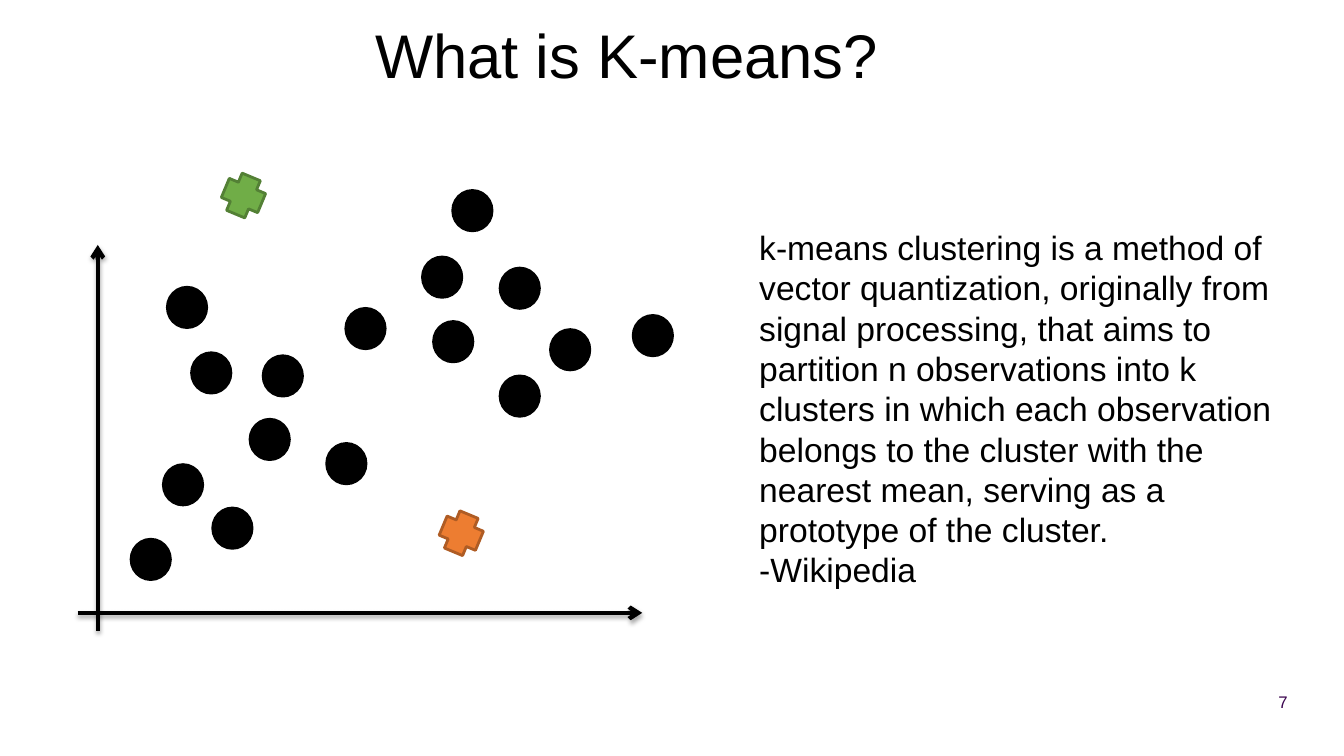
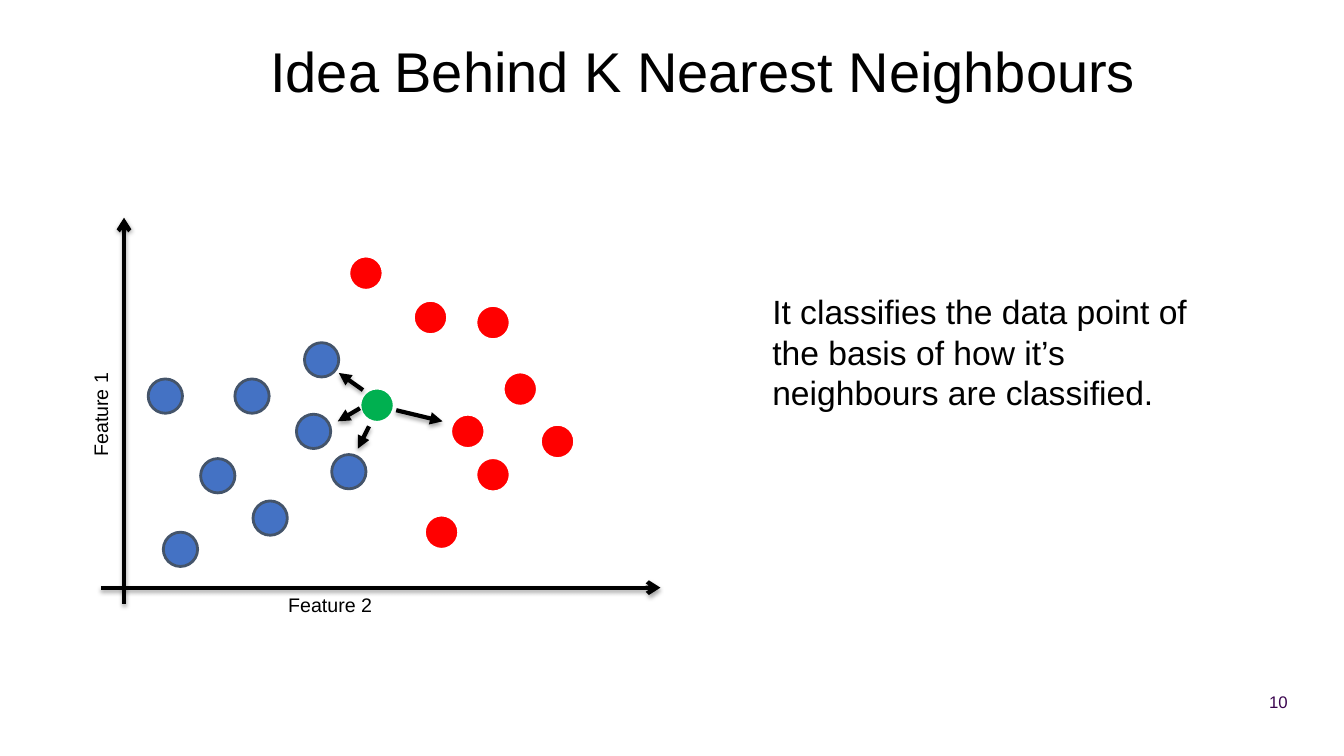
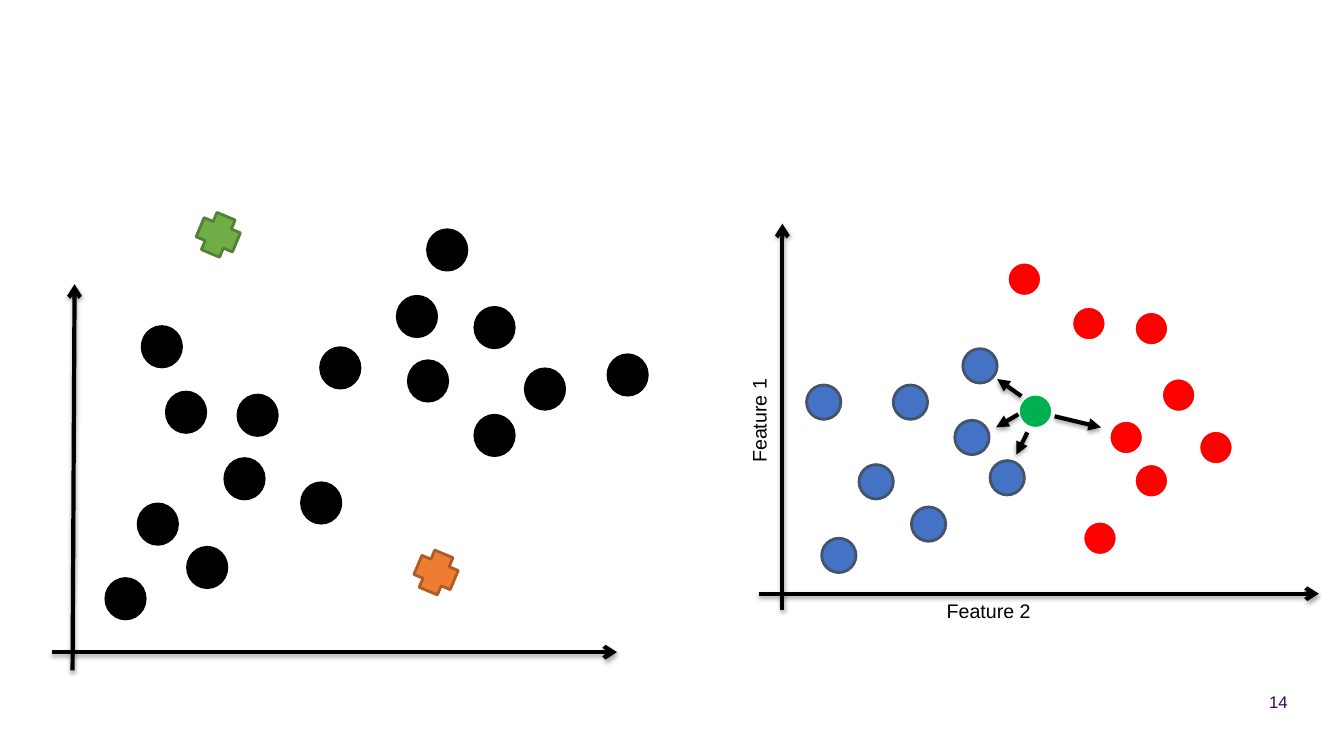
from dataclasses import dataclass

from lxml import etree
from pptx import Presentation
from pptx.dml.color import RGBColor
from pptx.enum.shapes import MSO_CONNECTOR, MSO_SHAPE
from pptx.enum.text import MSO_ANCHOR, MSO_AUTO_SIZE, PP_ALIGN
from pptx.oxml.ns import qn
from pptx.util import Inches, Pt

STRAIGHT = MSO_CONNECTOR.STRAIGHT
ELLIPSE, CROSS = MSO_SHAPE.OVAL, MSO_SHAPE.CROSS
TOP, MIDDLE = MSO_ANCHOR.TOP, MSO_ANCHOR.MIDDLE
LEFT, RIGHT = PP_ALIGN.LEFT, PP_ALIGN.RIGHT
FIT_SHAPE, FIT_NONE = MSO_AUTO_SIZE.SHAPE_TO_FIT_TEXT, MSO_AUTO_SIZE.NONE
TITLE_AND_BODY, BLANK = 1, 6


@dataclass(frozen=True)
class Theme:
    """Colours, type sizes and line widths of the deck."""

    font: str = "Arial"
    ink: str = "000000"
    paper: str = "FFFFFF"
    number: str = "3B054F"
    green_mean: tuple = ("70AD47", "538035")
    orange_mean: tuple = ("ED7D31", "AF5C24")
    blue_class: tuple = ("4472C4", "44546A")
    red_class: tuple = ("FF0000", "FFFFFF")
    new_point: tuple = ("00B050", "FFFFFF")
    title_size: int = 44
    long_title_size: int = 40
    body_size: int = 24
    label_size: int = 14
    number_size: int = 12
    outline: int = 2
    stroke: int = 3


THEME = Theme()

OBSERVATIONS = [
    (2.61, 3.53), (1.62, 4.61), (1.9, 3.5), (3.43, 3.06), (4.49, 1.89), (3.24, 4.4),
    (4.3, 3.19), (4.96, 3.73), (4.96, 2.66), (5.46, 3.27), (6.28, 3.13), (1.3, 5.35),
    (2.11, 5.04), (4.19, 2.55), (1.66, 2.85), (2.48, 4.16),
]
MEANS = [((2.22, 1.74), THEME.green_mean), ((4.38, 5.09), THEME.orange_mean)]
BLUE_POINTS = [
    (2.33, 3.76), (3.29, 4.51), (3.02, 3.4), (2.51, 4.97),
    (1.99, 4.55), (2.94, 4.11), (1.47, 3.76), (1.62, 5.28),
]
RED_POINTS = [
    (4.72, 3.03), (4.47, 4.11), (3.46, 2.54), (4.1, 2.98),
    (4.72, 4.54), (4.99, 3.69), (4.21, 5.11), (5.36, 4.21),
]
CLASSES = [
    (BLUE_POINTS, THEME.blue_class),
    (RED_POINTS, THEME.red_class),
    ([(3.57, 3.85)], THEME.new_point),
]
NEIGHBOUR_ARROWS = [
    ((3.93, 4.07), (4.39, 4.18)), ((3.66, 4.23), (3.55, 4.45)),
    ((3.6, 3.87), (3.36, 3.7)), ((3.57, 4.05), (3.35, 4.18)),
]
FEATURE_LABELS = [("Feature 2", (2.76, 5.83), 0), ("Feature 1", (0.09, 3.49), 270)]


class Deck:
    """Holds the theme, the presentation and the page being drawn."""

    def __init__(self, theme):
        """Open an empty widescreen presentation."""
        self.theme = theme
        self.deck = Presentation()
        self.deck.slide_width, self.deck.slide_height = Inches(13.33), Inches(7.5)
        self.page = None
        self.shift = (0, 0)

    def new_page(self, number, layout):
        """Start a page with its number in the corner."""
        self.page = self.deck.slides.add_slide(self.deck.slide_layouts[layout])
        self.page.background.fill.solid()
        self.page.background.fill.fore_color.rgb = RGBColor.from_string(self.theme.paper)
        self.shift = (0, 0)
        box = self.page.shapes.add_textbox(0, 0, 0, 0)
        self.place(box, (12.42, 6.76, 0.45, 0.4))
        self.fill_text(box, [number], self.theme.number_size, self.theme.number,
                       alignment=RIGHT, vertical_anchor=MIDDLE, auto_size=FIT_NONE)

    def place(self, shape, area):
        """Put a shape at left, top, width and height, moved by the shift."""
        left, top, width, height = area
        values = dict(left=left + self.shift[0], top=top + self.shift[1],
                      width=width, height=height)
        for name, value in values.items():
            setattr(shape, name, Inches(value))

    def fill_text(self, box, lines, size, colour=None, alignment=LEFT,
                  vertical_anchor=TOP, auto_size=FIT_SHAPE):
        """Fill a box with unbulleted paragraphs of one style."""
        frame = box.text_frame
        frame_format = dict(word_wrap=True, auto_size=auto_size, vertical_anchor=vertical_anchor)
        for name, value in frame_format.items():
            setattr(frame, name, value)
        for index, line in enumerate(lines):
            para = frame.add_paragraph() if index else frame.paragraphs[0]
            para_format = dict(alignment=alignment, space_before=Pt(0), space_after=Pt(0))
            for name, value in para_format.items():
                setattr(para, name, value)
            properties = para._p.get_or_add_pPr()
            properties.set("marL", "0")
            properties.set("indent", "0")
            etree.SubElement(properties, qn("a:buNone"))
            span = para.add_run()
            span.text = line
            for name, value in dict(name=self.theme.font, size=Pt(size)).items():
                setattr(span.font, name, value)
            span.font.color.rgb = RGBColor.from_string(colour or self.theme.ink)

    def title(self, text, area, size):
        """Move and fill the title placeholder."""
        box = self.page.shapes.title
        self.place(box, area)
        self.fill_text(box, [text], size)

    def body(self, lines, area):
        """Move and fill the body placeholder."""
        box = self.page.placeholders[1]
        self.place(box, area)
        self.fill_text(box, lines, self.theme.body_size)

    def label(self, text, corner, rotation):
        """Name an axis."""
        box = self.page.shapes.add_textbox(0, 0, 0, 0)
        self.place(box, (*corner, 1.88, 0.4))
        box.rotation = rotation
        self.fill_text(box, [text], self.theme.label_size)

    def marker(self, kind, corner, size, colours, rotation=0):
        """Draw one point of a plot."""
        shape = self.page.shapes.add_shape(kind, 0, 0, 0, 0)
        self.place(shape, (*corner, *size))
        shape.rotation = rotation
        shape.shadow.inherit = False
        fill, line = (RGBColor.from_string(colour) for colour in colours)
        shape.fill.solid()
        shape.fill.fore_color.rgb = fill
        shape.line.color.rgb = line
        shape.line.width = Pt(self.theme.outline)

    def arrow(self, start, end, head):
        """Draw a heavy arrow with a soft shadow below it."""
        ends = [Inches(value + move) for point in (start, end)
                for value, move in zip(point, self.shift)]
        connector = self.page.shapes.add_connector(STRAIGHT, *ends)
        connector.line.color.rgb = RGBColor.from_string(self.theme.ink)
        connector.line.width = Pt(self.theme.stroke)
        properties = connector._element.spPr
        etree.SubElement(properties.find(qn("a:ln")), qn("a:tailEnd"), type=head)
        effects = etree.SubElement(properties, qn("a:effectLst"))
        shadow = etree.SubElement(effects, qn("a:outerShdw"), blurRad=str(Pt(3.1)),
                                  dist=str(Pt(1.8)), dir="5400000", rotWithShape="0")
        colour = etree.SubElement(shadow, qn("a:srgbClr"), val=self.theme.ink)
        etree.SubElement(colour, qn("a:alpha"), val="35000")

    def means_plot(self, shift=(0, 0), lean=0):
        """Draw the observations and the two starting means."""
        self.shift = shift
        self.arrow((0.97, 6.26), (0.97 + lean, 2.43), "arrow")
        self.arrow((0.77, 6.08), (6.37, 6.08), "arrow")
        size = (0.39, 0.4)
        for corner in OBSERVATIONS:
            self.marker(ELLIPSE, corner, size, (self.theme.ink, self.theme.ink))
        for corner, colours in MEANS:
            self.marker(CROSS, corner, size, colours, 22.7)

    def neighbours_plot(self, shift=(0, 0)):
        """Draw two classes and a new point with its nearest neighbours."""
        self.shift = shift
        self.arrow((1.23, 5.99), (1.23, 2.16), "arrow")
        self.arrow((1, 5.83), (6.55, 5.83), "arrow")
        for corners, colours in CLASSES:
            for corner in corners:
                self.marker(ELLIPSE, corner, (0.34, 0.34), colours)
        for start, end in NEIGHBOUR_ARROWS:
            self.arrow(start, end, "triangle")
        for text, corner, rotation in FEATURE_LABELS:
            self.label(text, corner, rotation)


def main():
    """Build and save the three pages."""
    deck = Deck(THEME)

    deck.new_page("7", TITLE_AND_BODY)
    deck.title("What is K-means?", (3.62, 0.12, 6.24, 0.84), THEME.title_size)
    deck.body([
        "k-means clustering is a method of vector quantization, originally from signal "
        "processing, that aims to partition n observations into k clusters in which each "
        "observation belongs to the cluster with the nearest mean, serving as a prototype "
        "of the cluster.",
        "-Wikipedia",
    ], (7.43, 2.2, 5.7, 3.74))
    deck.means_plot()

    deck.new_page("10", TITLE_AND_BODY)
    deck.title("Idea Behind K Nearest Neighbours", (2.58, 0.31, 9.27, 0.77),
               THEME.long_title_size)
    deck.body(["It classifies the data point of the basis of how it’s neighbours are classified."],
              (7.56, 2.84, 4.64, 1.31))
    deck.neighbours_plot()

    deck.new_page("14", BLANK)
    deck.means_plot(shift=(-0.25, 0.39), lean=0.02)
    deck.neighbours_plot(shift=(6.53, 0.06))

    deck.deck.save("out.pptx")


if __name__ == "__main__":
    main()
